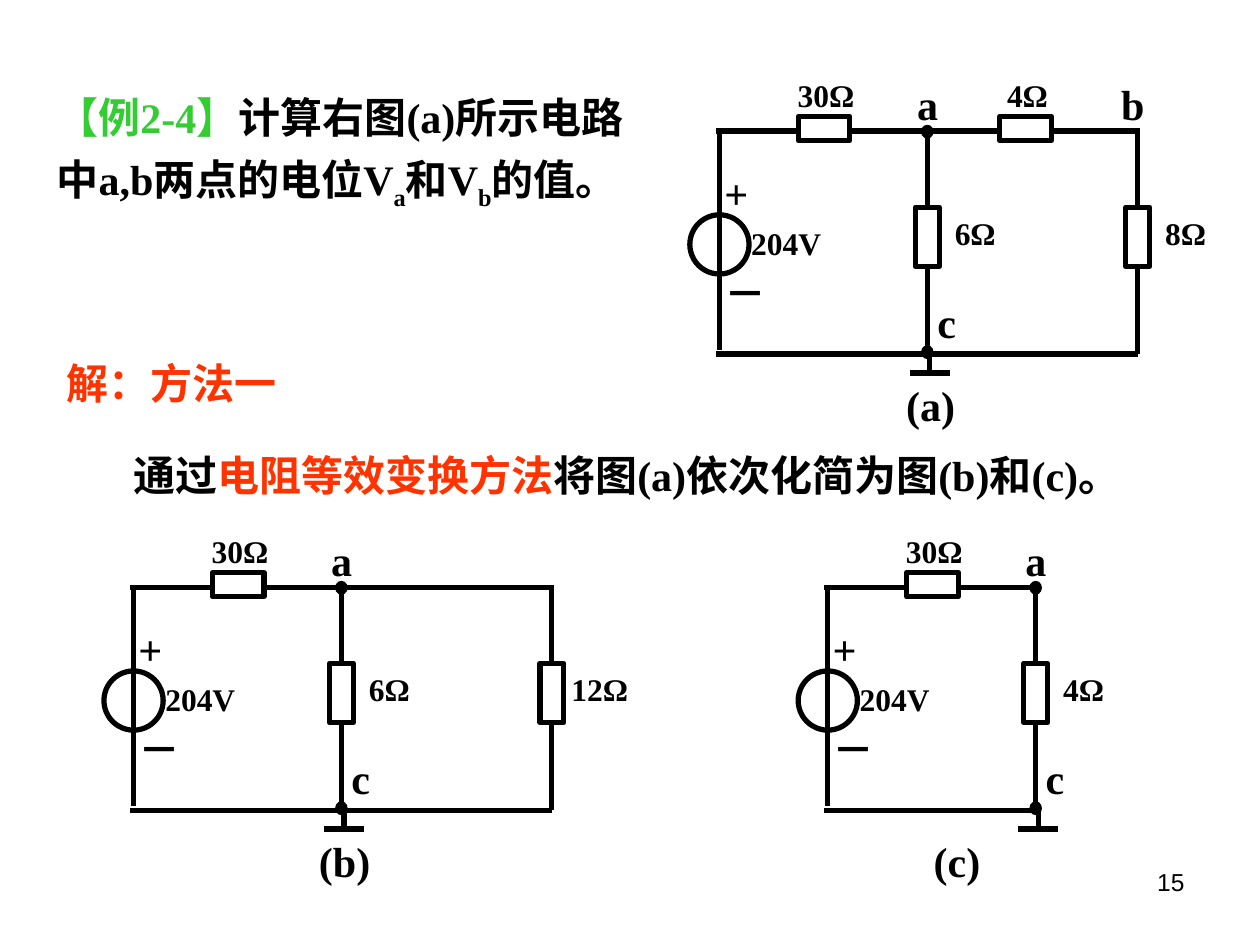
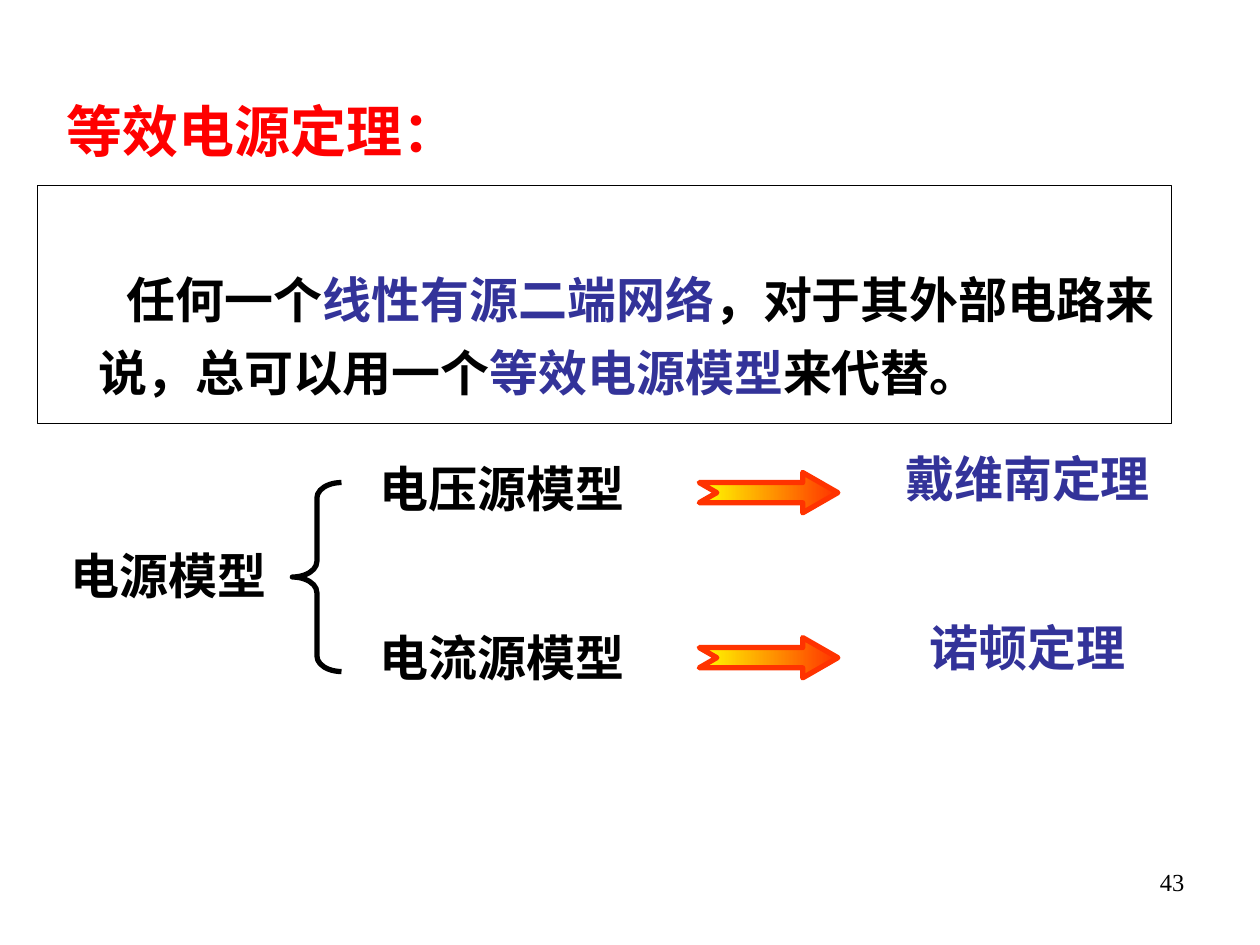
from lxml import etree
from pptx import Presentation, util as u
from pptx.dml.color import RGBColor
from pptx.enum import shapes as kinds, text as t
from pptx.oxml.ns import qn


class Theme:
    font, number_font = "Times New Roman", "Arial"
    ink, white = RGBColor(0, 0, 0), RGBColor(255, 255, 255)
    red, orange = RGBColor(255, 0, 0), RGBColor(255, 0x33, 0)
    green, blue = RGBColor(0x33, 0xCC, 0x33), RGBColor(0x33, 0x33, 0x99)
    yellow = RGBColor(255, 255, 0)
    title, model, body, value, number = 32, 28, 24, 18, 14
    stroke, frame = u.Pt(3), u.Pt(0.75)


CENTER, RIGHT = t.PP_ALIGN.CENTER, t.PP_ALIGN.RIGHT
KIND = kinds.MSO_SHAPE


def write(holder, runs, size, font=Theme.font, bold=True, wrap=True, inset=(0.1, 0.05),
          anchor=t.MSO_ANCHOR.TOP, **paragraph_format):
    """Fill a text holder with runs given as (words, colour[, baseline])."""
    frame = holder.text_frame
    side, top = (u.Inches(length) for length in inset)
    frame_format = dict(word_wrap=wrap, auto_size=t.MSO_AUTO_SIZE.NONE, vertical_anchor=anchor,
                        margin_left=side, margin_right=side, margin_top=top,
                        margin_bottom=min(top, u.Inches(0.05)))
    for name, value in frame_format.items():
        setattr(frame, name, value)
    paragraph = frame.paragraphs[0]
    for name, value in paragraph_format.items():
        setattr(paragraph, name, value)
    for words, colour, *baseline in runs:
        run = paragraph.add_run()
        run.text = words
        for name, value in dict(name=font, size=u.Pt(size), bold=bold).items():
            setattr(run.font, name, value)
        run.font.color.rgb = colour
        if baseline:
            run._r.get_or_add_rPr().set("baseline", str(baseline[0] * 1000))


def draw(parent, kind, box, fill=None, line=Theme.ink, width=Theme.stroke):
    """Add a preset shape without shadow; box is left, top, width, height in inches."""
    shape = parent.shapes.add_shape(kind, *(u.Inches(length) for length in box))
    shape.shadow.inherit = False
    if fill is None:
        shape.fill.background()
    else:
        shape.fill.solid()
        shape.fill.fore_color.rgb = fill
    if line is None:
        shape.line.fill.background()
    else:
        shape.line.color.rgb = line
        shape.line.width = width
    return shape


deck = Presentation()
deck.slide_width, deck.slide_height = u.Inches(10), u.Inches(7.5)
TITLE_ONLY, BLANK = deck.slide_layouts[5], deck.slide_layouts[6]

# Example 2-4: one circuit and its two simplifications
example = deck.slides.add_slide(BLANK)

statements = [
    ((0.35, 0.6, 4.85, 1.07), 0, [
        ("【例2-4】", Theme.green), ("计算右图(a)所示电路中a,b两点的电位V", Theme.ink),
        ("a", Theme.ink, -25), ("和V", Theme.ink), ("b", Theme.ink, -25), ("的值。", Theme.ink)]),
    ((0.43, 2.71, 2.28, 0.59), 0, [("解：方法一", Theme.orange)]),
    ((0.43, 3.44, 9.29, 0.59), 0.53, [
        ("通过", Theme.ink), ("电阻等效变换方法", Theme.orange),
        ("将图(a)依次化简为图(b)和(c)。", Theme.ink)]),
]
for box, indent, runs in statements:
    statement = example.shapes.add_textbox(*(u.Inches(length) for length in box))
    write(statement, runs, Theme.body, line_spacing=1.2)
    statement.text_frame.paragraphs[0]._p.get_or_add_pPr().set("indent", str(u.Inches(indent)))

# Circuit grid, measured from the top of the source branch
SOURCE, MIDDLE, OUTER = 0, 1.65, 3.32
TOP, CENTRE, BOTTOM, GROUND = 0, 0.84, 1.77, 1.92
LONG, THIN = 0.47, 0.19
TOP_LONG = 0.41

# origin, caption and its left, top resistors, branch resistors, node names
circuits = [
    ((5.71, 1.04), "(a)", 1.28, {0.83: "30Ω", 2.43: "4Ω"},
     {MIDDLE: "6Ω", OUTER: "8Ω"}, {1.47: "a", 3.09: "b"}),
    ((1.06, 4.66), "(b)", 1.28, {0.83: "30Ω"}, {MIDDLE: "6Ω", OUTER: "12Ω"}, {1.47: "a"}),
    ((6.57, 4.66), "(c)", 0.63, {0.83: "30Ω"}, {MIDDLE: "4Ω"}, {1.47: "a"}),
]
for (left, top), caption, caption_left, series, branches, nodes in circuits:
    circuit = example.shapes.add_group_shape()
    end = max(branches)

    wires = [(SOURCE, TOP, SOURCE, BOTTOM - 0.03), (-0.03, BOTTOM, end, BOTTOM),
             (MIDDLE + 0.02, BOTTOM, MIDDLE + 0.02, GROUND),
             (MIDDLE - 0.14, GROUND, MIDDLE + 0.18, GROUND)]
    start = -0.03
    for x in series:
        wires.append((start, TOP, x - TOP_LONG / 2, TOP))
        start = x + TOP_LONG / 2
    wires.append((start, TOP, end, TOP))
    for x in branches:
        wires += [(x, TOP - 0.02, x, CENTRE - LONG / 2), (x, CENTRE + LONG / 2, x, BOTTOM)]
    for x1, y1, x2, y2 in wires:
        wire = circuit.shapes.add_connector(
            kinds.MSO_CONNECTOR.STRAIGHT, u.Inches(left + x1), u.Inches(top + y1),
            u.Inches(left + x2), u.Inches(top + y2))
        wire.line.color.rgb, wire.line.width = Theme.ink, Theme.stroke
        etree.SubElement(wire._element.spPr, qn("a:effectLst"))

    parts = [(KIND.RECTANGLE, x, TOP - 0.02, TOP_LONG, THIN) for x in series]
    parts += [(KIND.RECTANGLE, x, CENTRE, THIN, LONG) for x in branches]
    parts.append((KIND.OVAL, SOURCE, 0.9, LONG, LONG))
    for kind, x, y, width, height in parts:
        draw(circuit, kind, (left + x - width / 2, top + y - height / 2, width, height))
    for y in (TOP, BOTTOM - 0.02):
        draw(circuit, KIND.OVAL, (left + MIDDLE - 0.05, top + y - 0.05, 0.1, 0.11),
             fill=Theme.ink, line=None)

    sign = dict(size=Theme.body, wrap=False, line_spacing=0.7)
    value = dict(size=Theme.value, inset=(0, 0), alignment=CENTER)
    labels = [("c", (1.63, 1.37, 0.35, 0.38), sign),
              ("+", (-0.06, 0.35, 0.4, 0.38), sign),
              ("－", (-0.06, 1.14, 0.54, 0.38), sign),
              ("204V", (0.25, 0.74, 0.56, 0.3), value | dict(wrap=False)),
              (caption, (caption_left, GROUND, 0.79, 0.5),
               dict(size=Theme.body, alignment=CENTER))]
    labels += [(name, (x, -0.36, 0.38, 0.38), sign) for x, name in nodes.items()]
    labels += [(ohms, (x - 0.42, -0.44, 0.87, 0.3), value) for x, ohms in series.items()]
    labels += [(ohms, (x + 0.09, 0.66, 0.58, 0.3), value) for x, ohms in branches.items()]
    for words, (x, y, width, height), style in labels:
        label = circuit.shapes.add_textbox(u.Inches(left + x), u.Inches(top + y),
                                           u.Inches(width), u.Inches(height))
        write(label, [(words, Theme.ink)], **style)

# Equivalent source theorem
theorem = deck.slides.add_slide(TITLE_ONLY)
title = theorem.shapes.title
for name, length in dict(left=0.43, top=0.68, width=9, height=0.71).items():
    setattr(title, name, u.Inches(length))
write(title, [("等效电源定理：", Theme.red)], Theme.title, anchor=t.MSO_ANCHOR.MIDDLE,
      alignment=t.PP_ALIGN.LEFT)

rule = draw(theorem, KIND.RECTANGLE, (0.3, 1.47, 9, 1.89), fill=Theme.white, width=Theme.frame)
write(rule, [("任何一个", Theme.ink), ("线性有源二端网络", Theme.blue),
             ("，对于其外部电路来说，总可以用一个", Theme.ink),
             ("等效电源模型", Theme.blue), ("来代替。", Theme.ink)],
      Theme.model, inset=(0.1, 0.55), line_spacing=1.25, alignment=t.PP_ALIGN.LEFT)
rule_margins = rule.text_frame.paragraphs[0]._p.get_or_add_pPr()
for name, length in dict(marL=0.38, indent=0.23).items():
    rule_margins.set(name, str(u.Inches(length)))

brace = draw(theorem, KIND.LEFT_BRACE, (2.32, 3.83, 0.39, 1.5))
brace.adjustments[0], brace.adjustments[1] = 0.316, 0.5

terms = [("电源模型", 0.27, 4.28, 2.13, Theme.ink)]
models = [("电压源模型", "戴维南定理"), ("电流源模型", "诺顿定理")]
for row, (model, name) in enumerate(models):
    terms += [(model, 2.56, 3.59 + 1.34 * row, 2.85, Theme.ink),
              (name, 6.73, 3.51 + 1.34 * row, 2.85, Theme.blue)]
    arrow = draw(theorem, KIND.NOTCHED_RIGHT_ARROW, (5.55, 3.75 + 1.31 * row, 1.1, 0.32),
                 line=Theme.orange)
    arrow.adjustments[0], arrow.adjustments[1] = 0.5, 0.872
    arrow.fill.gradient()
    arrow.fill.gradient_angle = 0
    for stop, colour, position in zip(arrow.fill.gradient_stops,
                                      (Theme.yellow, Theme.orange), (0, 1)):
        stop.color.rgb, stop.position = colour, position
for words, x, y, width, colour in terms:
    term = theorem.shapes.add_textbox(u.Inches(x), u.Inches(y), u.Inches(width), u.Inches(0.57))
    write(term, [(words, colour)], Theme.model, alignment=CENTER)

# Page numbers
for slide, page, font in ((example, "15", Theme.number_font), (theorem, "43", Theme.font)):
    number = slide.shapes.add_textbox(u.Inches(7.17), u.Inches(6.83),
                                      u.Inches(2.33), u.Inches(0.52))
    write(number, [(page, Theme.ink)], Theme.number, font=font, bold=False, alignment=RIGHT)

deck.save("out.pptx")
